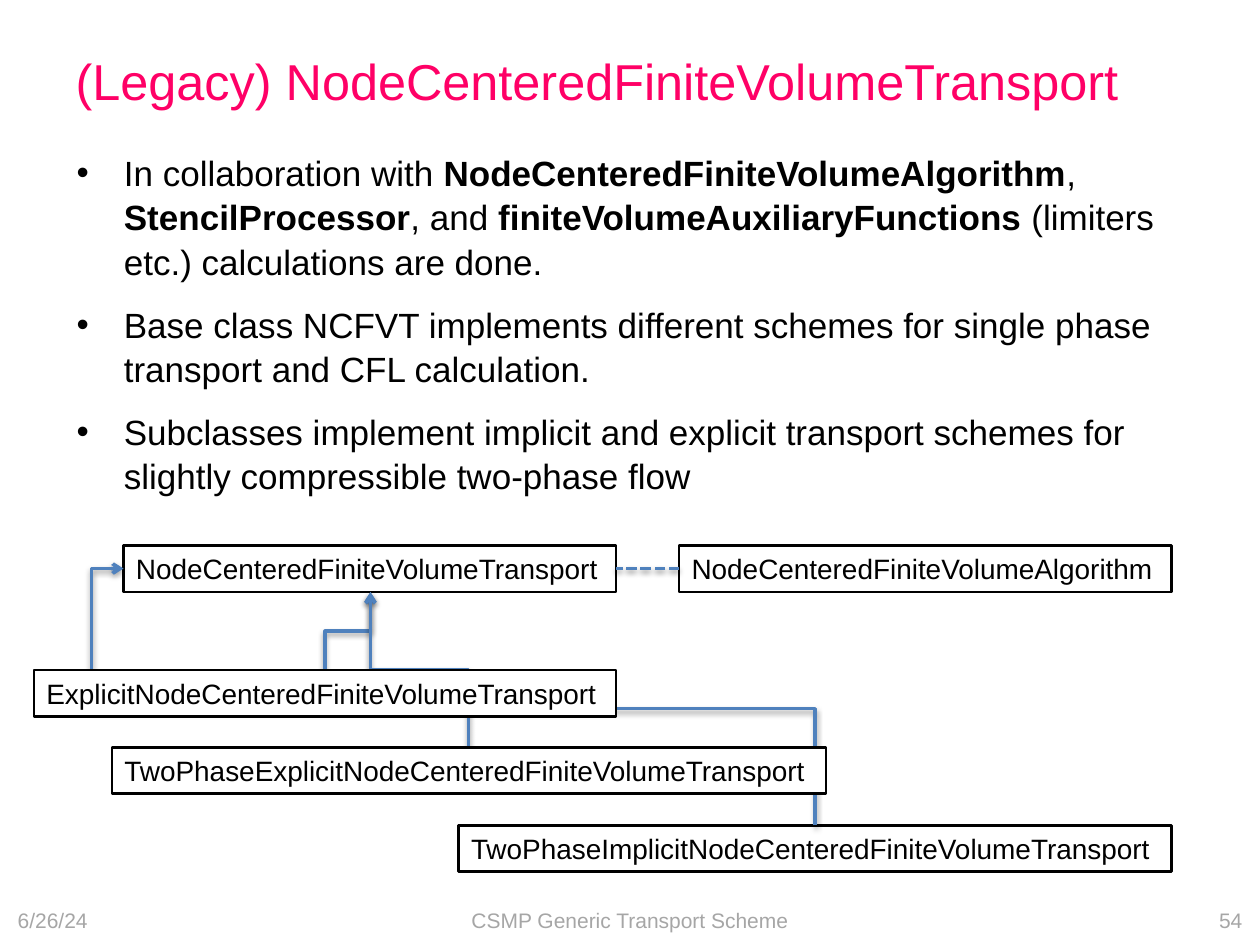
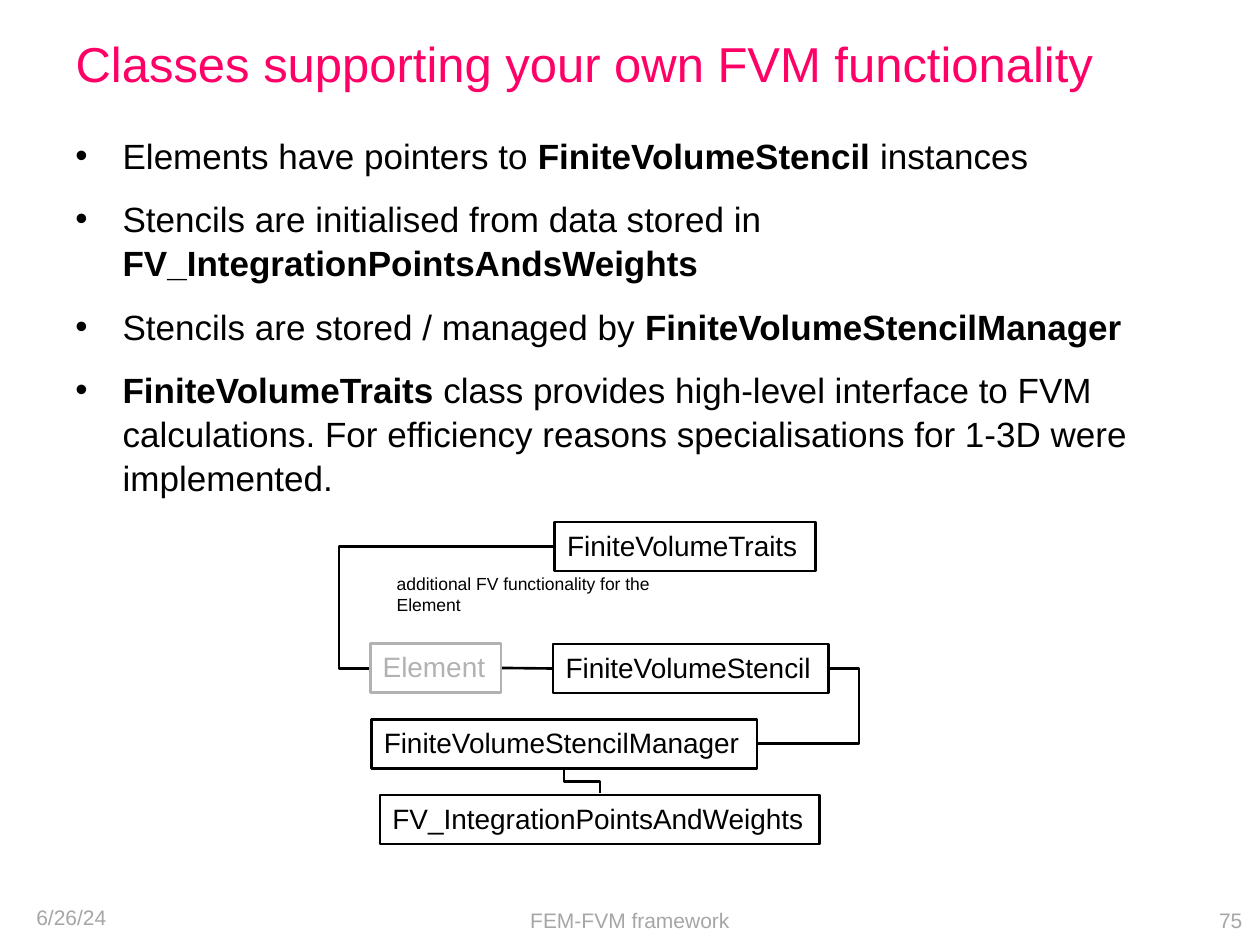
from pptx import Presentation
from pptx.dml.color import RGBColor
from pptx.enum import dml, shapes, text
from pptx.oxml import parse_xml
from pptx.oxml.ns import nsdecls, qn
from pptx.util import Pt

PINK = RGBColor(0xFF, 0x00, 0x66)
BLACK = RGBColor(0, 0, 0)
WHITE = RGBColor(255, 255, 255)
BLUE = RGBColor(0x4F, 0x81, 0xBD)
SILVER = RGBColor(0xB2, 0xB2, 0xB2)
GREY = RGBColor(0xA6, 0xA6, 0xA6)
LEFT, MID, RIGHT = text.PP_ALIGN.LEFT, text.PP_ALIGN.CENTER, text.PP_ALIGN.RIGHT

SHADE = (
    f'<a:effectLst {nsdecls("a")}><a:outerShdw blurRad="40000" dist="20000" '
    'dir="5400000" rotWithShape="0"><a:srgbClr val="000000">'
    '<a:alpha val="38000"/></a:srgbClr></a:outerShdw></a:effectLst>'
)
PLAIN = f'<a:effectLst {nsdecls("a")}/>'


def write(shape, words, size, color, align=LEFT, wrap=True, anchor=text.MSO_ANCHOR.MIDDLE):
    """Fill a shape with one paragraph in a single format."""
    frame = shape.text_frame
    frame.word_wrap, frame.vertical_anchor = wrap, anchor
    para = frame.paragraphs[0]
    para.alignment = align
    run = para.add_run()
    run.text = words
    look = {"name": "Arial", "size": Pt(size), "bold": False}
    for key, value in look.items():
        setattr(run.font, key, value)
    run.font.color.rgb = color


def wire(slide, start, end, turn=None, adj=(), color=BLACK, width=1.5, head=False, dash=False):
    """Draw a line, or an elbow whose frame is turned by a right angle."""
    (x1, y1), (x2, y2) = start, end
    cx, cy, dx, dy = (x1 + x2) / 2, (y1 + y2) / 2, (x1 - x2) / 2, (y1 - y2) / 2
    # Undo the turn, so that the turned frame meets both ends.
    dx, dy = {90: (dy, -dx), 180: (-dx, -dy), 270: (-dy, dx)}.get(turn, (dx, dy))
    kind = shapes.MSO_CONNECTOR.STRAIGHT if turn is None else shapes.MSO_CONNECTOR.ELBOW
    spots = (cx + dx, cy + dy, cx - dx, cy - dy)
    line = slide.shapes.add_connector(kind, *map(Pt, spots))
    line.line.color.rgb = color
    line.line.width = Pt(width)
    if dash:
        line.line.dash_style = dml.MSO_LINE.SQUARE_DOT
    props = line._element.spPr
    if turn:
        props.find(qn("a:xfrm")).set("rot", str(turn * 60000))
    if adj:
        geom = props.find(qn("a:prstGeom"))
        geom.set("prst", f"bentConnector{len(adj) + 2}")
        for old in list(geom):
            geom.remove(old)
        guides = "".join(
            f'<a:gd name="adj{n}" fmla="val {value}"/>' for n, value in enumerate(adj, 1)
        )
        geom.append(parse_xml(f'<a:avLst {nsdecls("a")}>{guides}</a:avLst>'))
    if head:
        props.find(qn("a:ln")).append(parse_xml(f'<a:tailEnd {nsdecls("a")} type="arrow"/>'))
    props.append(parse_xml(SHADE if color == BLUE else PLAIN))


# Asterisks in a point switch bold on and off.
# A box is (name, left, top, width, color, fill); a wire holds the arguments of wire().
flow = {"color": BLUE, "width": 2}
arrow = {**flow, "head": True}
pages = [
    {
        "title": ("(Legacy) NodeCenteredFiniteVolumeTransport", 28.8, 10),
        "body": (36.7, 82, 645, 358),
        "points": [
            "In collaboration with *NodeCenteredFiniteVolumeAlgorithm*, *StencilProcessor*, and "
            "*finiteVolumeAuxiliaryFunctions* (limiters etc.) calculations are done.",
            "Base class NCFVT implements different schemes for single phase transport "
            "and CFL calculation.",
            "Subclasses implement implicit and explicit transport schemes for slightly "
            "compressible two-phase flow",
        ],
        "date": (3, 511, 168, 29),
        "foot": "CSMP Generic Transport Scheme",
        "number": "54",
        "height": 26.6,
        "back": [
            ("NodeCenteredFiniteVolumeTransport", 70.6, 311.8, 281.5, BLACK, None),
            ("NodeCenteredFiniteVolumeAlgorithm", 388.1, 311.8, 281.5, BLACK, None),
            ("TwoPhaseImplicitNodeCenteredFiniteVolumeTransport", 262.1, 471.6, 407.5, BLACK, None),
        ],
        "wires": [
            ((185.8, 383), (211.7, 338.4), 90, (), arrow),
            ((267.8, 427), (211.7, 338.4), 270, (), arrow),
            ((465.8, 471.6), (70.6, 324.9), 270, (45400, 104600), arrow),
            ((388.1, 324.9), (352.1, 324.9), None, (), {**flow, "dash": True}),
        ],
        "front": [
            ("ExplicitNodeCenteredFiniteVolumeTransport", 19.4, 383, 332.7, BLACK, WHITE),
            ("TwoPhaseExplicitNodeCenteredFiniteVolumeTransport", 64, 427, 408, BLACK, WHITE),
        ],
        "notes": [],
    },
    {
        "title": ("Classes supporting your own FVM functionality", 28, 0),
        "body": (36, 72, 648, 410),
        "points": [
            "Elements have pointers to *FiniteVolumeStencil* instances",
            "Stencils are initialised from data stored in *FV_IntegrationPointsAndsWeights*",
            "Stencils are stored / managed by *FiniteVolumeStencilManager*",
            "*FiniteVolumeTraits* class provides high-level interface to FVM calculations. "
            "For efficiency reasons specialisations for 1-3D were implemented.",
        ],
        "date": (13.7, 506, 227, 36),
        "foot": "FEM-FVM framework",
        "number": "75",
        "height": 28.1,
        "back": [
            ("FiniteVolumeStencil", 316.1, 368, 157.3, BLACK, None),
            ("FiniteVolumeStencilManager", 212.2, 411.1, 220.4, BLACK, None),
            ("FV_IntegrationPointsAndWeights", 217.2, 454.2, 251.3, BLACK, None),
            ("FiniteVolumeTraits", 317, 298.2, 149.2, BLACK, None),
            ("Element", 211.6, 367.7, 74.8, SILVER, None),
        ],
        "wires": [
            ((287, 381.7), (315.5, 382), None, (), {}),
            ((316.1, 312.4), (211, 381.9), 180, (116400,), {}),
            ((473.8, 382.1), (432.8, 425), 0, (-42100,), {}),
            ((322.4, 439.7), (342.8, 453.4), 270, (49500,), {}),
        ],
        "front": [],
        "notes": [("additional FV functionality for the Element", 219.6, 324, 175, 31)],
    },
]

deck = Presentation()
deck.slide_width, deck.slide_height = Pt(720), Pt(540)

for page in pages:
    slide = deck.slides.add_slide(deck.slide_layouts[5])

    words, size, top = page["title"]
    title = slide.shapes.title
    place = {"left": 36, "top": top, "width": 648, "height": 72}
    for key, value in place.items():
        setattr(title, key, Pt(value))
    write(title, words, size, PINK)

    frame = slide.shapes.add_textbox(*map(Pt, page["body"])).text_frame
    frame.word_wrap = True
    for row, point in enumerate(page["points"]):
        para = frame.add_paragraph() if row else frame.paragraphs[0]
        look = {"space_before": Pt(3 if row else 0), "space_after": Pt(8), "line_spacing": 1.05}
        for key, value in look.items():
            setattr(para, key, value)
        props = para._p.get_or_add_pPr()
        props.set("marL", str(Pt(27)))
        props.set("indent", str(-Pt(27)))
        props.append(parse_xml(f'<a:buFont {nsdecls("a")} typeface="Arial"/>'))
        props.append(parse_xml(f'<a:buChar {nsdecls("a")} char="•"/>'))
        for part, words in enumerate(point.split("*")):
            if words:
                run = para.add_run()
                run.text = words
                look = {"name": "Arial", "size": Pt(20), "bold": part % 2 == 1}
                for key, value in look.items():
                    setattr(run.font, key, value)
                run.font.color.rgb = BLACK

    feet = [
        ("6/26/24", page["date"], LEFT),
        (page["foot"], (246, 511, 228, 29), MID),
        (page["number"], (549, 511, 168, 29), RIGHT),
    ]
    for words, area, align in feet:
        write(slide.shapes.add_textbox(*map(Pt, area)), words, 12, GREY, align)

    for layer in ("back", "front"):
        for name, left, top, width, color, fill in page[layer]:
            area = map(Pt, (left, top, width, page["height"]))
            box = slide.shapes.add_shape(shapes.MSO_SHAPE.RECTANGLE, *area)
            box.shadow.inherit = False
            if fill is None:
                box.fill.background()
            else:
                box.fill.solid()
                box.fill.fore_color.rgb = fill
            box.line.color.rgb = color
            box.line.width = Pt(1.5)
            write(box, name, 16, color, wrap=False, anchor=text.MSO_ANCHOR.TOP)
        if layer == "back":
            for start, end, turn, adj, look in page["wires"]:
                wire(slide, start, end, turn, adj, **look)

    for words, *area in page["notes"]:
        note = slide.shapes.add_textbox(*map(Pt, area))
        write(note, words, 10, BLACK, anchor=text.MSO_ANCHOR.TOP)

deck.save("out.pptx")
